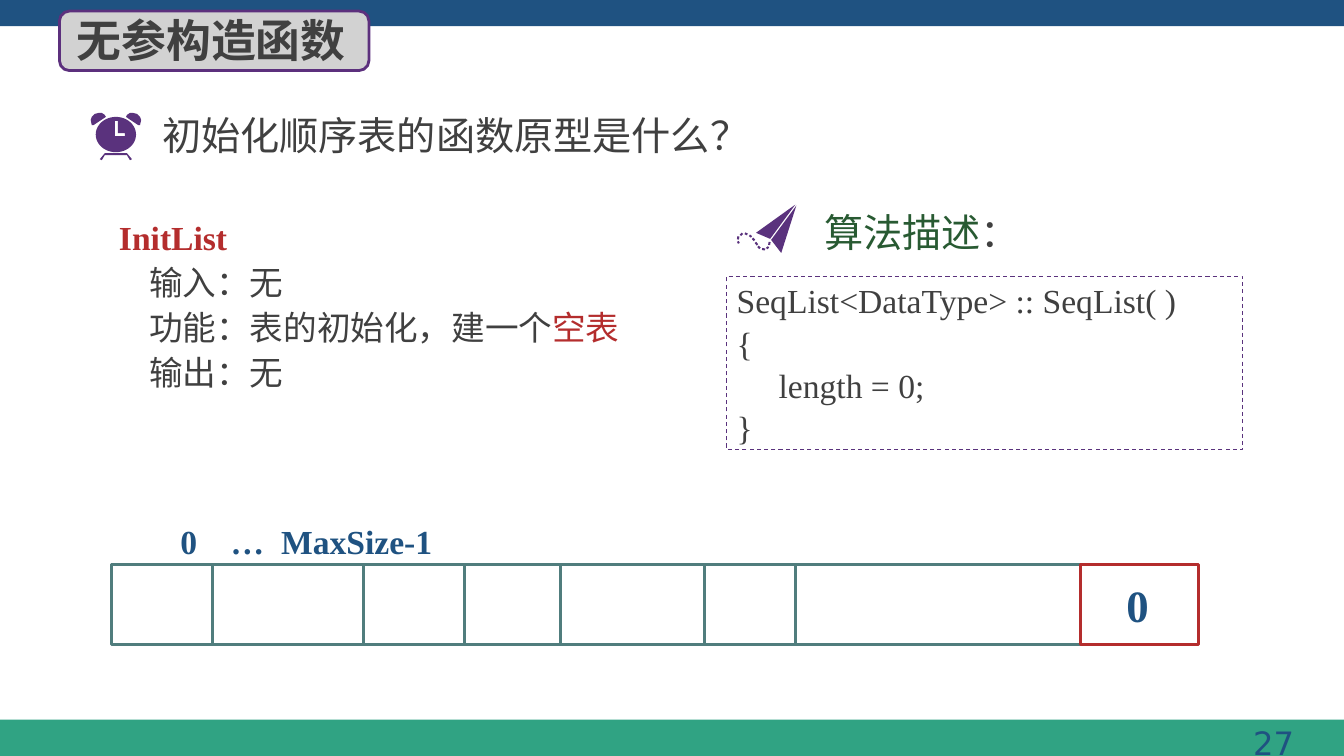
from dataclasses import dataclass, field
from math import cos, hypot, pi, sin
from typing import Any, Optional

from lxml.etree import SubElement
from pptx import Presentation
from pptx.dml.color import RGBColor
from pptx.enum.dml import MSO_LINE_DASH_STYLE as Dash
from pptx.enum.shapes import MSO_CONNECTOR as Connector, MSO_SHAPE as Preset
from pptx.enum.text import MSO_ANCHOR as Anchor, MSO_AUTO_SIZE as AutoSize, PP_ALIGN as Align
from pptx.oxml.ns import qn
from pptx.util import Inches, Pt

# The grid has square cells, ten columns or rows to the inch.
CELL = Inches(0.1)
COLUMNS, ROWS = 133.33, 75
NAVY, GREEN, PURPLE, RED = "1F5281", "30A383", "5A327D", "B42D2D"
TEAL, INK, FOREST, GREY, EDGE = "507D7D", "404040", "285A32", "D2D2D2", "5C307D"
CJK, SERIF, SANS = "Noto Sans CJK SC", "Times New Roman", "DejaVu Sans"

Point = tuple[float, float]


@dataclass
class Area:
    column: float
    row: float
    columns: float
    rows: float

    def lengths(self) -> list[int]:
        return [grid(n) for n in (self.column, self.row, self.columns, self.rows)]


@dataclass
class Run:
    text: str
    size: float
    font: str = CJK
    color: str = INK
    bold: bool = False


@dataclass
class Line:
    runs: list[Run]
    format: dict[str, Any] = field(default_factory=dict)
    indent: float = 0
    tabs: tuple[float, ...] = ()


@dataclass
class Box:
    area: Area
    fill: Optional[str] = None
    edge: Optional[str] = None
    width: float = 0
    preset: Preset = Preset.RECTANGLE
    dash: Optional[Dash] = None


def grid(cells: float) -> int:
    return round(cells * CELL)


def rgb(value: str) -> RGBColor:
    return RGBColor.from_string(value)


def set_format(target: Any, values: dict[str, Any]) -> None:
    for name, value in values.items():
        setattr(target, name, value)


def paint(shape: Any, fill: Optional[str], edge: Optional[str] = None, width: float = 0) -> None:
    shape.shadow.inherit = False
    for part, color in ((shape.fill, fill), (shape.line.fill, edge)):
        if color:
            part.solid()
            part.fore_color.rgb = rgb(color)
        else:
            part.background()
    if edge:
        shape.line.width = Pt(width)


def write(shape: Any, lines: list[Line], **frame_format: Any) -> None:
    frame = shape.text_frame
    set_format(frame, {"word_wrap": True, "auto_size": AutoSize.NONE,
                       "vertical_anchor": Anchor.MIDDLE, **frame_format})
    for index, line in enumerate(lines):
        paragraph = frame.add_paragraph() if index else frame.paragraphs[0]
        properties = paragraph._p.get_or_add_pPr()
        properties.set("marL", str(grid(line.indent)))
        properties.set("indent", "0")
        SubElement(properties, qn("a:buNone"))
        if line.tabs:
            stops = SubElement(properties, qn("a:tabLst"))
            for tab in line.tabs:
                SubElement(stops, qn("a:tab"), pos=str(grid(tab)), algn="l")
        set_format(paragraph, {"alignment": Align.LEFT, "space_before": Pt(0), **line.format})
        for item in line.runs:
            run = paragraph.add_run()
            run.text = item.text
            set_format(run.font, {"size": Pt(item.size), "name": item.font, "bold": item.bold})
            run.font.color.rgb = rgb(item.color)
            SubElement(run._r.get_or_add_rPr(), qn("a:ea"), typeface=item.font)


def add_box(slide: Any, box: Box) -> Any:
    shape = slide.shapes.add_shape(box.preset, *box.area.lengths())
    paint(shape, box.fill, box.edge, box.width)
    if box.dash:
        shape.line.dash_style = box.dash
    return shape


def add_text(slide: Any, area: Area, line: Line, **frame_format: Any) -> None:
    write(slide.shapes.add_textbox(*area.lengths()), [line], **frame_format)


def place(placeholder: Any, area: Area) -> Any:
    set_format(placeholder, dict(zip(("left", "top", "width", "height"), area.lengths())))
    return placeholder


def add_outline(slide: Any, *contours: list[Point]) -> None:
    """Draw one purple shape; a contour inside the first is a hole."""
    first, *holes = [[(grid(x), grid(y)) for x, y in contour] for contour in contours]
    builder = slide.shapes.build_freeform(*first[0], scale=1.0)
    builder.add_line_segments(first[1:], close=True)
    for hole in holes:
        builder.move_to(*hole[0])
        builder.add_line_segments(hole[1:], close=True)
    paint(builder.convert_to_shape(), PURPLE)


def add_clock(slide: Any) -> None:
    middle = 11.5
    ear = [(9.8, 11.2), (9.4, 11.3), (9.1, 11.6), (9, 11.9), (9.1, 12.4),
           (9.3, 12.4), (10.5, 11.6), (10.4, 11.4), (10.1, 11.2)]
    half_stand = [(11.5, 15.2), (10.4, 15.2), (9.9, 15.8), (10.1, 15.9), (10.4, 15.4), (11.5, 15.4)]
    for half in (ear, half_stand):
        add_outline(slide, half)
        add_outline(slide, [(2 * middle - x, y) for x, y in half])
    turns = [2 * pi * step / 48 for step in range(48)]
    face = [(middle + 2 * cos(turn), 13.35 + 1.75 * sin(turn)) for turn in turns]
    hands = [(11.4, 12), (11.7, 12), (11.7, 13.2), (12.4, 13.2), (12.4, 13.5), (11.4, 13.5)]
    add_outline(slide, face, hands)


def add_paper_plane(slide: Any) -> None:
    add_outline(slide, [(79, 20.4), (77.5, 25.1), (76.5, 23.8)])
    add_outline(slide, [(78.9, 20.3), (76.4, 23.7), (75, 23.1)])
    trail = [(76.35, 24, 76.3, 24.3), (76.25, 24.5, 76.05, 24.65), (75.9, 24.75, 75.6, 24.7),
             (75.4, 24.65, 75.2, 24.45), (75.15, 24.3, 74.95, 24.05), (74.85, 23.85, 74.65, 23.65),
             (74.55, 23.5, 74.35, 23.35), (74.15, 23.25, 73.9, 23.15), (73.65, 23.15, 73.45, 23.35),
             (73.25, 23.45, 73.2, 23.75), (73.2, 23.95, 73.3, 24.15)]
    for x1, y1, x2, y2 in trail:
        reach = 0.1 / hypot(x2 - x1, y2 - y1)
        dx, dy = (y1 - y2) * reach, (x2 - x1) * reach
        add_outline(slide, [(x1 + dx, y1 + dy), (x2 + dx, y2 + dy),
                            (x2 - dx, y2 - dy), (x1 - dx, y1 - dy)])


def add_array(slide: Any) -> None:
    top, height = 56, 7.9
    add_box(slide, Box(Area(11.1, top, 96.1, height), edge=TEAL, width=2.25))
    for column in (21.1, 36.1, 46.1, 55.6, 69.9, 78.9):
        x = grid(column)
        divider = slide.shapes.add_connector(Connector.STRAIGHT, x, grid(top), x, grid(top + height))
        divider.line.color.rgb = rgb(TEAL)
        divider.line.width = Pt(2.25)
        SubElement(divider._element.spPr, qn("a:effectLst"))
    length_cell = add_box(slide, Box(Area(107.2, top, 11.7, height), edge=RED, width=2.25))
    write(length_cell, [Line([Run("0", 32, SERIF, NAVY, True)], {"alignment": Align.CENTER})],
          margin_left=0, margin_right=grid(0.4))
    labels = Run("\t0\t…\tMaxSize-1", 24, SERIF, NAVY, True)
    add_text(slide, Area(11.9, 51.2, 109.6, 5), Line([labels], tabs=(2.5, 33.5, 80.9)))


def main() -> None:
    presentation = Presentation()
    set_format(presentation, {"slide_width": grid(COLUMNS), "slide_height": grid(ROWS)})
    slide = presentation.slides.add_slide(presentation.slide_layouts[1])
    title, body = slide.placeholders

    add_box(slide, Box(Area(0, 71.4, COLUMNS, 3.6), GREEN))
    add_box(slide, Box(Area(0, 0, COLUMNS, 2.6), NAVY))
    add_text(slide, Area(100.3, 71.1, 29.4, 5.2),
             Line([Run("27", 23, SANS, NAVY)], {"alignment": Align.RIGHT}), margin_right=grid(1.3))

    plate = add_box(slide, Box(Area(5.9, 1.1, 30.7, 5.9), GREY, EDGE, 2, Preset.ROUNDED_RECTANGLE))
    plate.element.addnext(title.element)
    write(place(title, Area(6.6, 0.7, 31, 6.4)), [Line([Run("无参构造函数", 32, bold=True)])])

    add_clock(slide)
    add_text(slide, Area(15.1, 10.5, 59.8, 5.7), Line([Run("初始化顺序表的函数原型是什么？", 28)]))

    spacing = {"alignment": Align.JUSTIFY, "line_spacing": Pt(32)}
    details = [[Run("输入：无", 24)],
               [Run("功能：表的初始化，建一个", 24), Run("空表", 24, color=RED)],
               [Run("输出：无", 24)]]
    write(place(body, Area(10.8, 20.6, 58.3, 18.6)),
          [Line([Run("InitList", 24, SERIF, RED, True)], spacing),
           *(Line(runs, spacing, indent=3) for runs in details)], vertical_anchor=Anchor.TOP)

    add_paper_plane(slide)
    add_text(slide, Area(80.8, 20.2, 28.8, 5.7),
             Line([Run("算法描述", 28, color=FOREST), Run("：", 28)]))
    code_box = add_box(slide, Box(Area(72.1, 27.4, 51.2, 17.2), edge=PURPLE, width=0.75, dash=Dash.DASH))
    code = ["SeqList<DataType> :: SeqList( )", "{", "     length = 0;", "}"]
    write(code_box, [Line([Run(text, 24, SERIF)], {"line_spacing": 1.05}) for text in code])

    add_array(slide)
    presentation.save("out.pptx")


if __name__ == "__main__":
    main()
